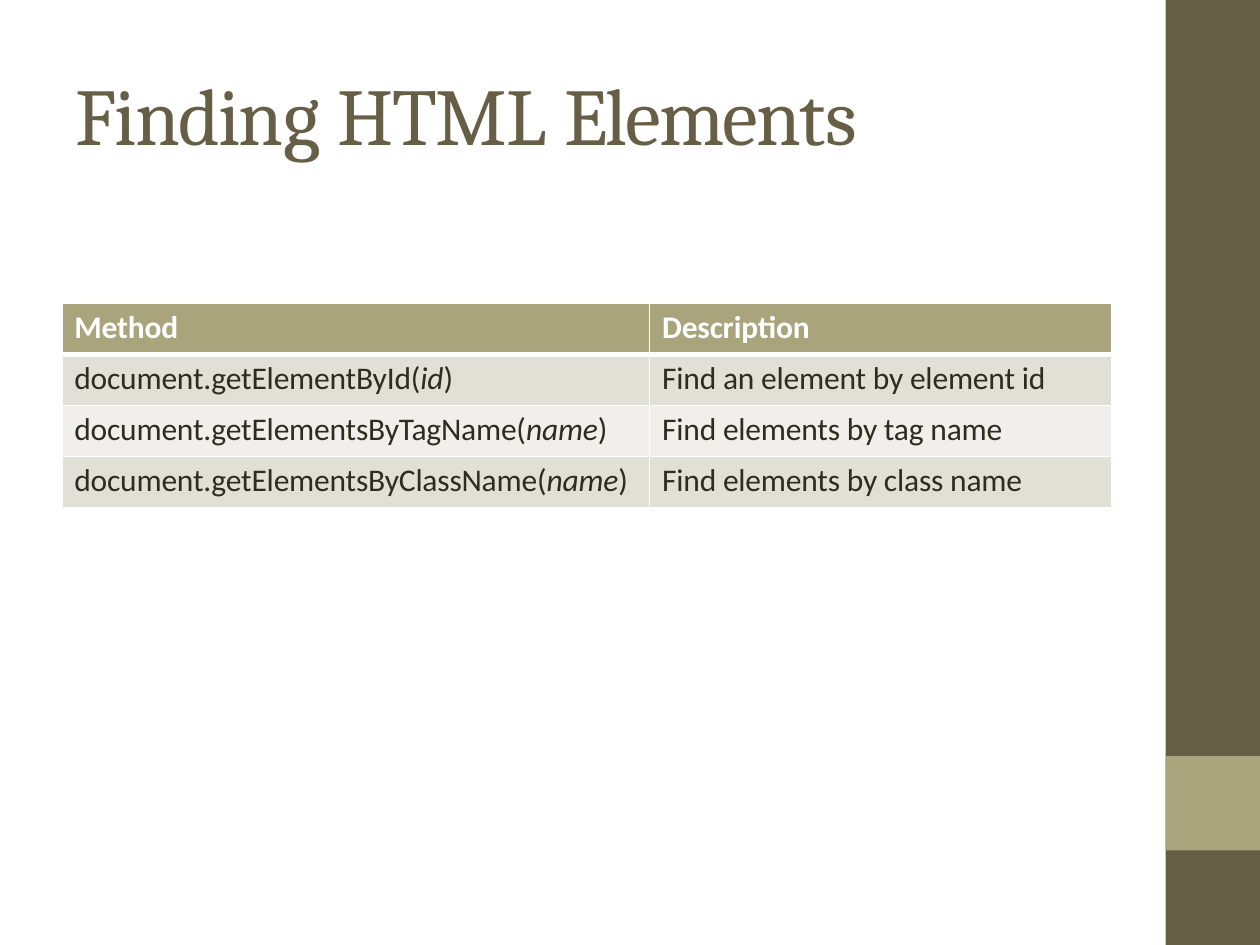
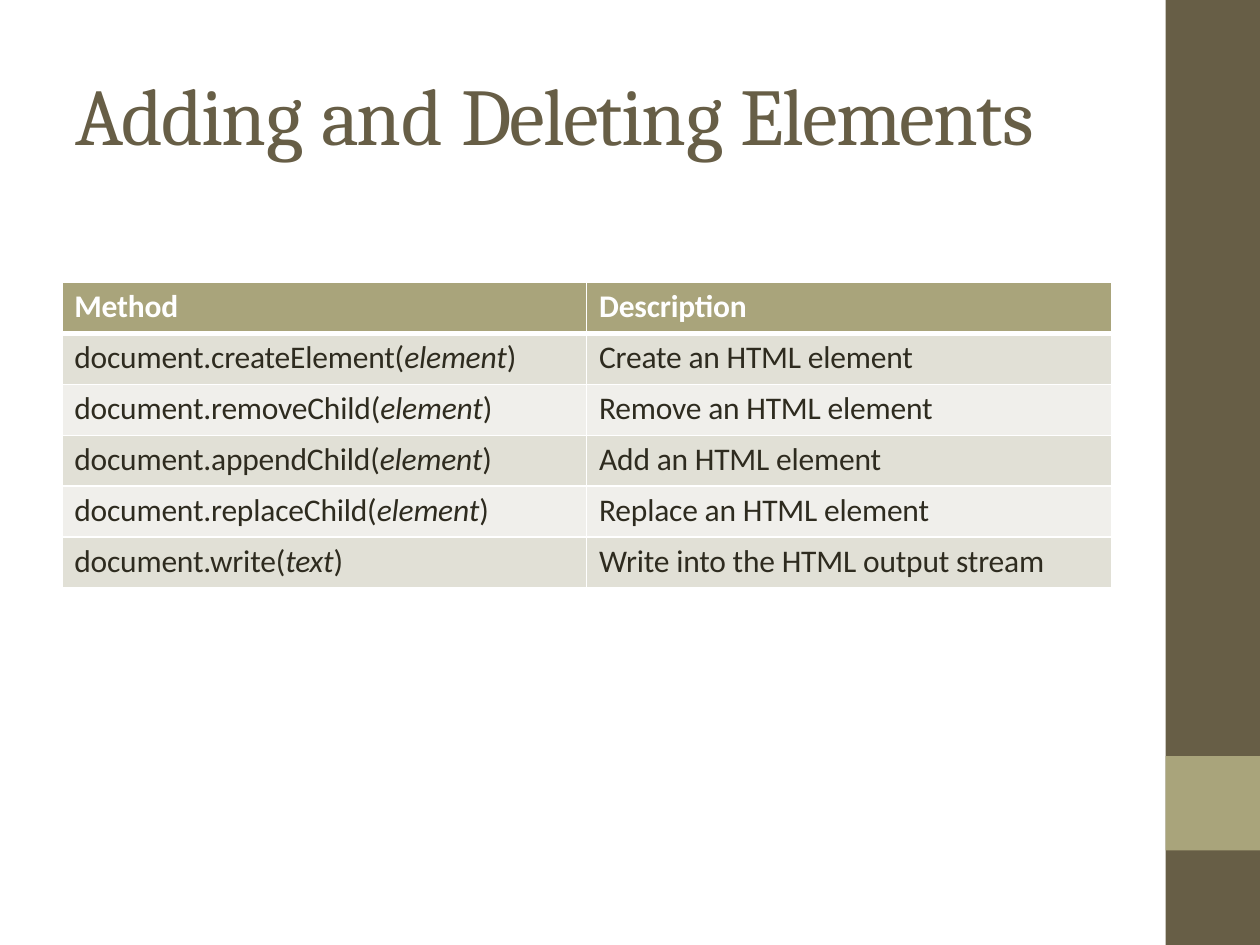
from lxml import etree
from pptx import Presentation, util as u
from pptx.dml.color import RGBColor
from pptx.enum import shapes, text
from pptx.oxml.ns import qn

HEAD = ("Method", "Description")
PAGES = [
    dict(
        title="Finding HTML Elements", wide=6.3, top=2.41, cols=(0.56, 0.44),
        rows=[
            ("document.getElementById", "id", "Find an element by element id"),
            ("document.getElementsByTagName", "name", "Find elements by tag name"),
            ("document.getElementsByClassName", "name", "Find elements by class name"),
        ],
    ),
    dict(
        title="Adding and Deleting Elements", wide=7.88, top=2.24, cols=(0.5, 0.5),
        rows=[
            ("document.createElement", "element", "Create an HTML element"),
            ("document.removeChild", "element", "Remove an HTML element"),
            ("document.appendChild", "element", "Add an HTML element"),
            ("document.replaceChild", "element", "Replace an HTML element"),
            ("document.write", "text", "Write into the HTML output stream"),
        ],
    ),
]

HUES = dict(dark="675E46", sand="A9A47B", odd="E1E0D6", even="F0EFEB",
            ink="2E2B1F", white="FFFFFF")
WIDE, HIGH = 10, 7.5
UNIT = HIGH / 10
LEFT, SPAN, ROW = 0.49, 8.33, 0.405


def hue(name):
    return RGBColor.from_string(HUES[name])


def add_run(para, words, face, size, tint, gap, bold=False, slant=False):
    run = para.add_run()
    run.text = words
    font = run.font
    font.name, font.size = face, u.Pt(size)
    font.bold, font.italic = bold, slant
    font.color.rgb = hue(tint)
    run._r.get_or_add_rPr().set("spc", str(round(gap * 100)))


def add_band(slide):
    for top, high, tint in ((0, 10, "dark"), (8, 1, "sand")):
        band = slide.shapes.add_shape(
            shapes.MSO_SHAPE.RECTANGLE, u.Inches(WIDE - UNIT), u.Inches(top * UNIT),
            u.Inches(UNIT), u.Inches(high * UNIT))
        band.shadow.inherit = False
        band.fill.solid()
        band.fill.fore_color.rgb = hue(tint)
        band.line.fill.background()


def set_title(slide, words, wide):
    box = slide.shapes.title
    box.left, box.top = u.Inches(0.59), u.Inches(0.51)
    box.width, box.height = u.Inches(wide), u.Inches(0.79)
    frame = box.text_frame
    frame.margin_left = frame.margin_top = u.Inches(0.01)
    frame.margin_right = frame.margin_bottom = 0
    frame.word_wrap = True
    frame.auto_size = text.MSO_AUTO_SIZE.SHAPE_TO_FIT_TEXT
    frame.vertical_anchor = text.MSO_ANCHOR.TOP
    para = frame.paragraphs[0]
    para.alignment = text.PP_ALIGN.LEFT
    para.space_before = u.Pt(0)
    parts = words.split()
    for num, part in enumerate(parts, 1):
        tail = part[-1] + (" " if num < len(parts) else "")
        add_run(para, part[:-1], "Cambria", 46, "dark", -1.05)
        add_run(para, tail, "Cambria", 46, "dark", -0.1)


def set_edges(cell, row):
    props = cell._tc.get_or_add_tcPr()
    for side in "LRTB":
        thick = (row, side) in ((0, "B"), (1, "T"))
        line = etree.SubElement(props, qn("a:ln" + side), w=str(u.Pt(3 if thick else 1)))
        fill = etree.SubElement(line, qn("a:solidFill"))
        etree.SubElement(fill, qn("a:srgbClr"), val=HUES["white"])


def fill_cell(cell, row, runs):
    cell.margin_left, cell.margin_top = u.Inches(0.1), u.Inches(0.04)
    cell.margin_right = cell.margin_bottom = 0
    set_edges(cell, row)
    cell.fill.solid()
    cell.fill.fore_color.rgb = hue("sand" if row == 0 else "odd" if row % 2 else "even")
    para = cell.text_frame.paragraphs[0]
    for words, slant in runs:
        add_run(para, words, "Calibri", 18, "ink" if row else "white", -0.1,
                bold=row == 0, slant=slant)


def add_grid(slide, page):
    rows = [[[(word, False)] for word in HEAD]]
    for name, arg, note in page["rows"]:
        rows.append([[(name + "(", False), (arg, True), (")", False)], [(note, False)]])
    table = slide.shapes.add_table(
        len(rows), len(HEAD), u.Inches(LEFT), u.Inches(page["top"]),
        u.Inches(SPAN), u.Inches(ROW * len(rows))).table
    table.first_row = table.horz_banding = False
    for col, share in zip(table.columns, page["cols"]):
        col.width = u.Inches(SPAN * share)
    for r, cells in enumerate(rows):
        table.rows[r].height = u.Inches(ROW)
        for c, runs in enumerate(cells):
            fill_cell(table.cell(r, c), r, runs)


def main():
    deck = Presentation()
    deck.slide_width, deck.slide_height = u.Inches(WIDE), u.Inches(HIGH)
    for page in PAGES:
        slide = deck.slides.add_slide(deck.slide_layouts[5])
        add_band(slide)
        set_title(slide, page["title"], page["wide"])
        add_grid(slide, page)
    deck.save("out.pptx")


if __name__ == "__main__":
    main()
